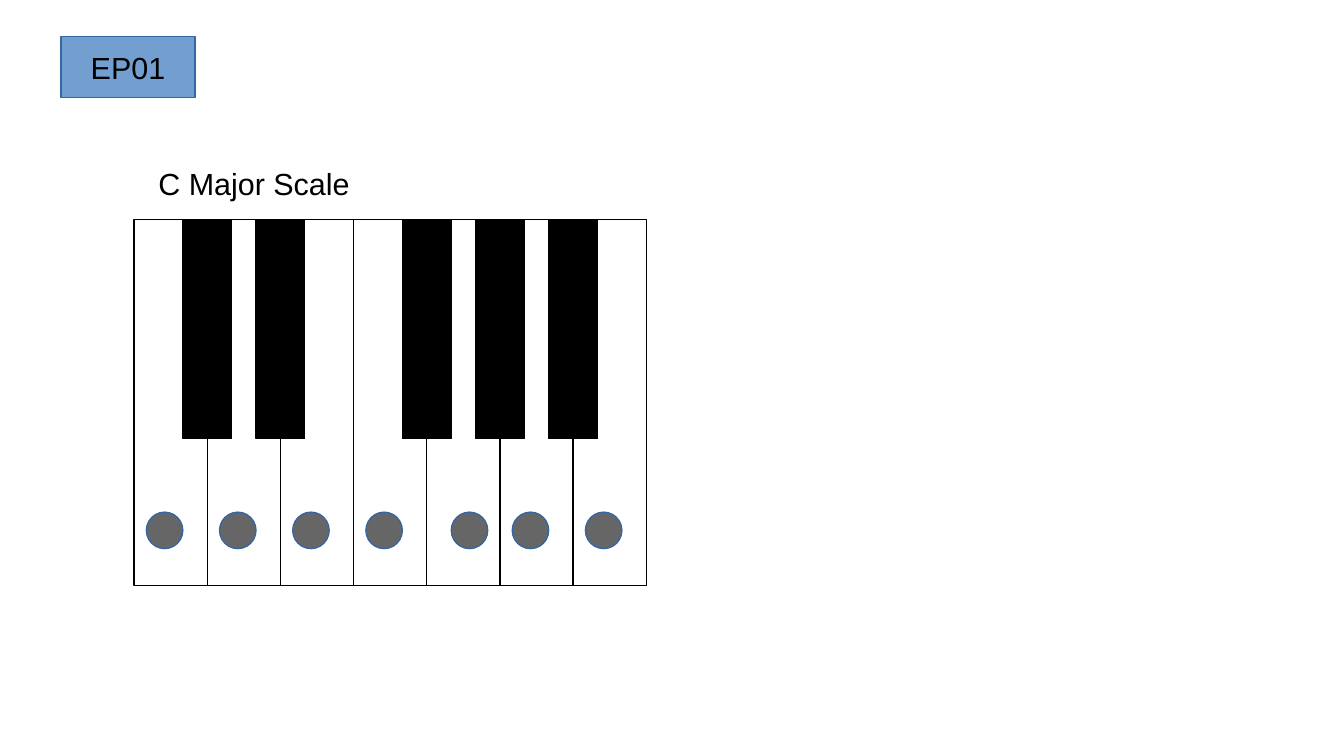
import pptx
import pptx.dml.color
import pptx.enum.shapes
import pptx.enum.text
import pptx.util

Inches = pptx.util.Inches
Shapes = pptx.enum.shapes.MSO_SHAPE
Align = pptx.enum.text.PP_ALIGN
Anchor = pptx.enum.text.MSO_ANCHOR

KEYBOARD_LEFT = 1.1
KEYBOARD_TOP = 1.8
KEY_WIDTH = 0.6
WHITE_KEYS = 7
BLACK_KEYS_AFTER = (0, 1, 3, 4, 5)
MARKER_OFFSETS = (0.1, 0.1, 0.1, 0.1, 0.2, 0.1, 0.1)


def color(value):
    return pptx.dml.color.RGBColor.from_string(value)


def add_shape(slide, kind, left, top, width, height, fill, line):
    shape = slide.shapes.add_shape(
        kind, Inches(left), Inches(top), Inches(width), Inches(height))
    shape.shadow.inherit = False
    shape.fill.solid()
    shape.fill.fore_color.rgb = color(fill)
    shape.line.color.rgb = color(line)
    shape.line.width = pptx.util.Pt(0.75)
    return shape


def write_text(shape, text, *, size=18, font="Arial", ink="000000",
               align=Align.LEFT, anchor=Anchor.TOP, wrap=True):
    frame = shape.text_frame
    frame.word_wrap = wrap
    frame.vertical_anchor = anchor
    paragraph = frame.paragraphs[0]
    paragraph.alignment = align
    run = paragraph.add_run()
    run.text = text
    run.font.size = pptx.util.Pt(size)
    run.font.name = font
    run.font.color.rgb = color(ink)


def key_left(index):
    return KEYBOARD_LEFT + index * KEY_WIDTH


def add_keyboard(slide):
    for index in range(WHITE_KEYS):
        add_shape(slide, Shapes.RECTANGLE, key_left(index), KEYBOARD_TOP,
                  KEY_WIDTH, 3, "FFFFFF", "000000")
    for index in BLACK_KEYS_AFTER:
        add_shape(slide, Shapes.RECTANGLE, key_left(index) + 0.4, KEYBOARD_TOP,
                  0.4, 1.8, "000000", "000000")


def add_scale_markers(slide):
    for index, offset in enumerate(MARKER_OFFSETS):
        add_shape(slide, Shapes.OVAL, key_left(index) + offset, 4.2,
                  0.3, 0.3, "666666", "3465A4")


def add_scale_title(slide):
    title = slide.shapes.add_textbox(
        Inches(1.2), Inches(1.3), Inches(6.83), Inches(0.38))
    write_text(title, "C Major Scale")


def add_episode_label(slide):
    label = add_shape(slide, Shapes.RECTANGLE, 0.5, 0.3, 1.1, 0.5,
                      "729FCF", "3465A4")
    write_text(label, "EP01", align=Align.CENTER, anchor=Anchor.MIDDLE,
               wrap=False)


def main():
    presentation = pptx.Presentation()
    presentation.slide_width = Inches(11.02)
    presentation.slide_height = Inches(6.2)
    slide = presentation.slides.add_slide(presentation.slide_layouts[6])
    add_keyboard(slide)
    add_scale_markers(slide)
    add_scale_title(slide)
    add_episode_label(slide)
    presentation.save("out.pptx")


main()
